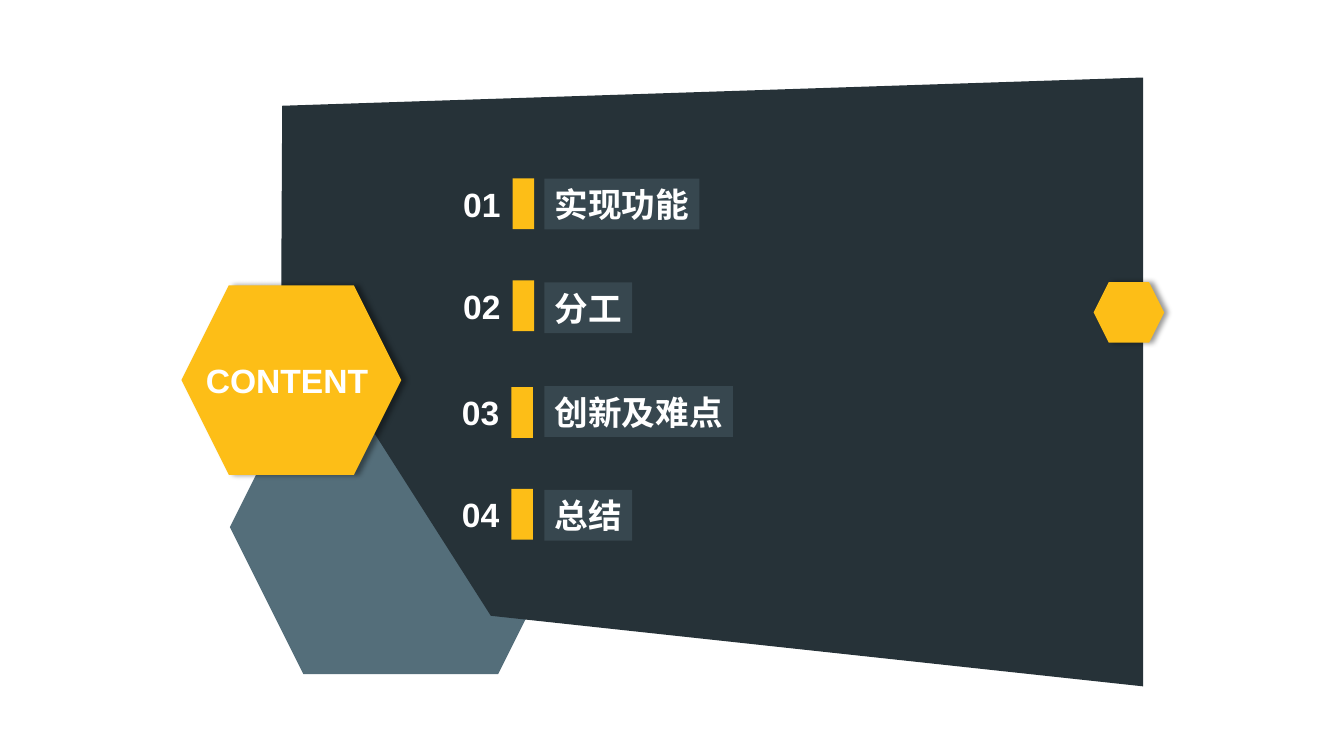
"""Build the agenda slide: a dark angled panel, hexagons and four numbered topics."""
from dataclasses import dataclass

from lxml.etree import SubElement
from pptx import Presentation
from pptx.dml.color import RGBColor
from pptx.enum.shapes import MSO_SHAPE as Preset
from pptx.enum.text import MSO_ANCHOR as Anchor, MSO_AUTO_SIZE as AutoSize, PP_ALIGN as Align
from pptx.oxml.ns import qn
from pptx.util import Pt


@dataclass(frozen=True)
class Theme:
    amber: str = "FDBE17"
    slate: str = "546E7A"
    panel: str = "263238"
    label: str = "37474F"
    white: str = "FFFFFF"
    shadow: str = "000000"
    size: int = 24
    latin: str = "Arial"
    chinese: str = "Noto Sans CJK SC"


theme = Theme()
deck = Presentation()
deck.slide_width, deck.slide_height = Pt(960), Pt(540)
slide = deck.slides.add_slide(deck.slide_layouts[5])
shapes = slide.shapes


def add_block(preset, box, color):
    block = shapes.add_shape(preset, *map(Pt, box))
    block.shadow.inherit = False
    block.fill.solid()
    block.fill.fore_color.rgb = RGBColor.from_string(color)
    block.line.fill.background()
    return block


def write(holder, text, face):
    frame = holder.text_frame
    frame.text = text
    frame.word_wrap = False
    frame.auto_size = AutoSize.NONE
    frame.vertical_anchor = Anchor.MIDDLE
    paragraph = frame.paragraphs[0]
    paragraph.alignment = Align.CENTER
    font = paragraph.font
    font.size, font.bold, font.name = Pt(theme.size), True, face
    font.color.rgb = RGBColor.from_string(theme.white)
    SubElement(font._rPr, qn("a:ea"), typeface=face)


add_block(Preset.HEXAGON, (164.2, 271.4, 244.1, 210.2), theme.slate)

outline = shapes.build_freeform(Pt(201.6), Pt(75.6))
outline.add_line_segments(
    [(Pt(x), Pt(y)) for x, y in ((816.5, 55.4), (816.5, 490.3), (350.6, 439.9), (200.9, 205.2))]
)
panel = outline.convert_to_shape()
panel.shadow.inherit = False
panel.fill.solid()
panel.fill.fore_color.rgb = RGBColor.from_string(theme.panel)
panel.line.fill.background()

for box in ((129.6, 203.8, 157, 135.4), (781.2, 201.6, 50.4, 43.2)):
    hexagon = add_block(Preset.HEXAGON, box, theme.amber)
    effects = hexagon._element.spPr.find(qn("a:effectLst"))
    shadow = SubElement(effects, qn("a:outerShdw"), blurRad=str(Pt(4)), dist=str(Pt(3)),
                        dir="0", algn="l", rotWithShape="0")
    tint = SubElement(shadow, qn("a:srgbClr"), val=theme.shadow)
    SubElement(tint, qn("a:alpha"), val="40000")

topics = (
    ("实现功能", 323.3, 127.4),
    ("分工", 323.3, 200.2),
    ("创新及难点", 322.4, 276.5),
    ("总结", 322.4, 349.2),
)
row_height = 36.3
for index, (topic, left, top) in enumerate(topics):
    label_box = (388.8, 127.6 + 74.1 * index, 14.8 + theme.size * len(topic), row_height)
    label = add_block(Preset.RECTANGLE, label_box, theme.label)
    write(label, topic, theme.chinese)
    number = shapes.add_textbox(Pt(left), Pt(top), Pt(41.8), Pt(row_height))
    write(number, f"{index + 1:02}", theme.latin)
    add_block(Preset.RECTANGLE, (left + 42.9, top, 15.4, row_height), theme.amber)

heading = shapes.title
heading.left, heading.top, heading.width, heading.height = map(Pt, (139.1, 253.4, 131.8, 36.7))
write(heading, "CONTENT", theme.latin)
shapes._spTree.append(heading._element)

deck.save("out.pptx")
